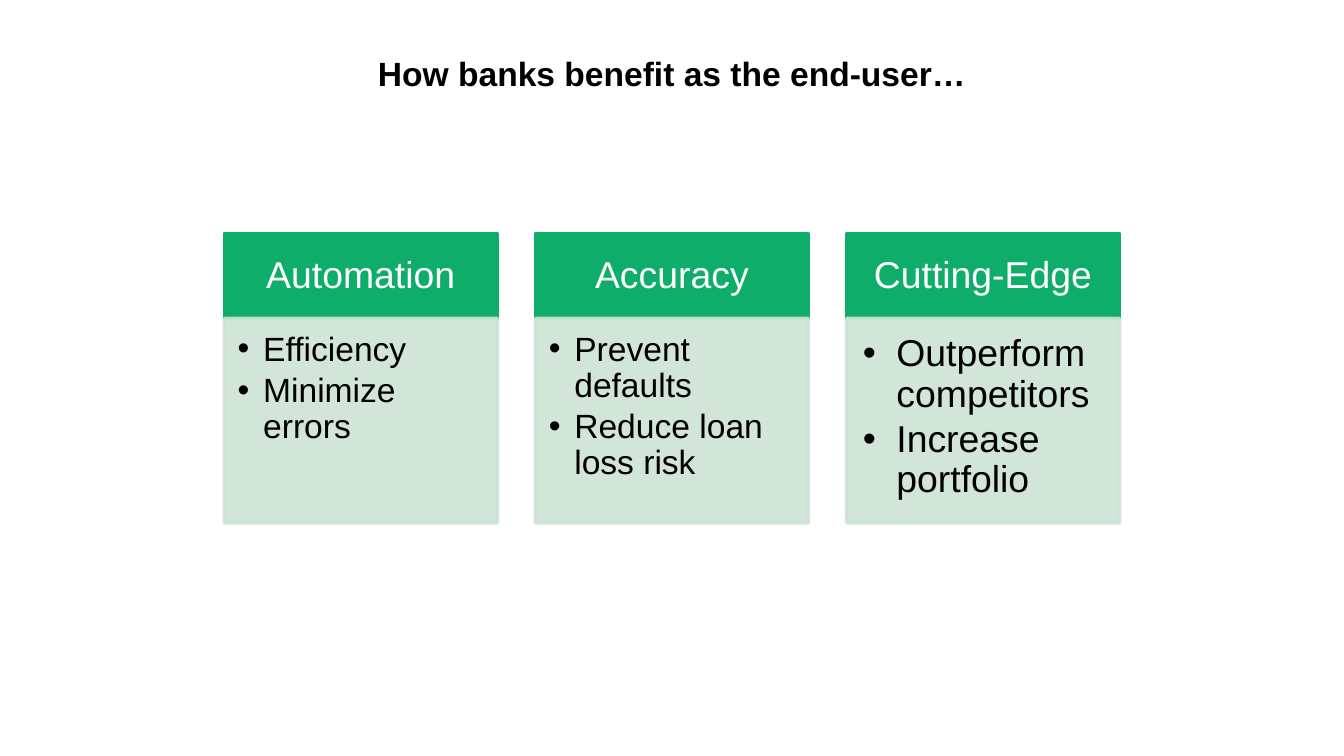
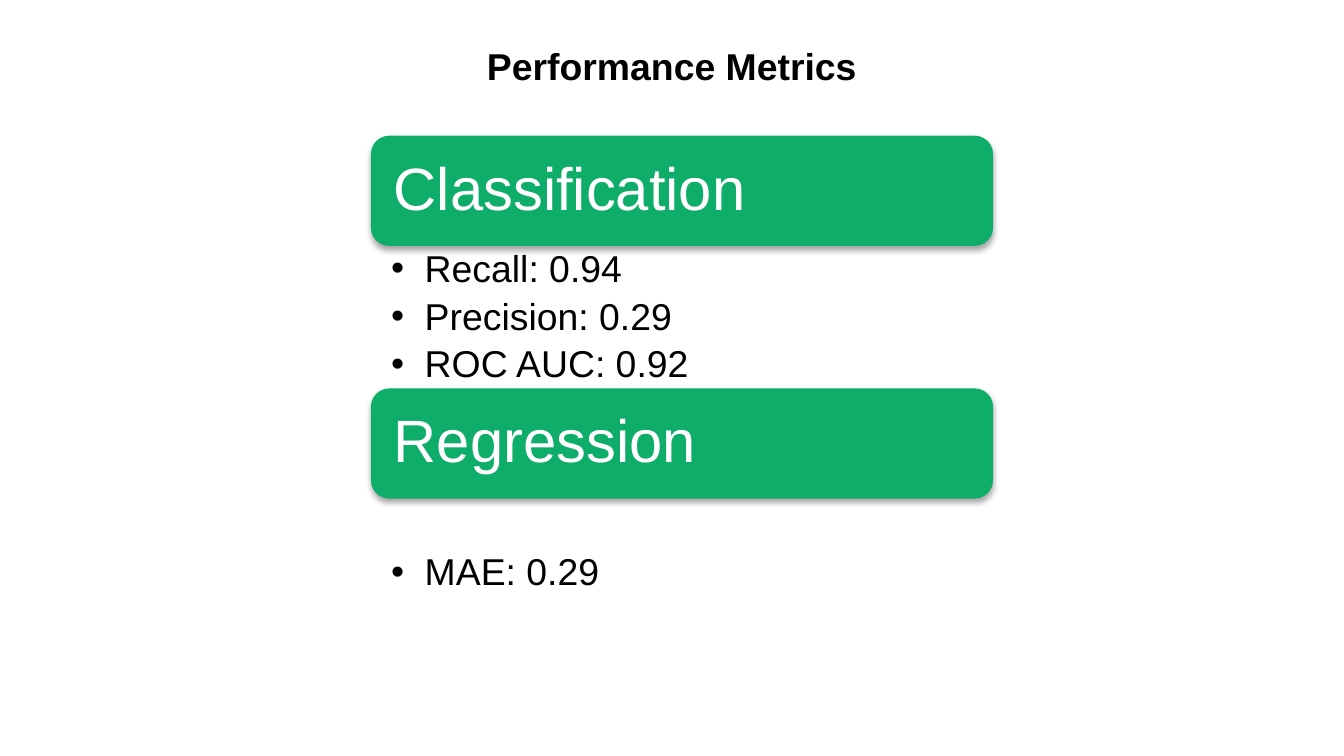
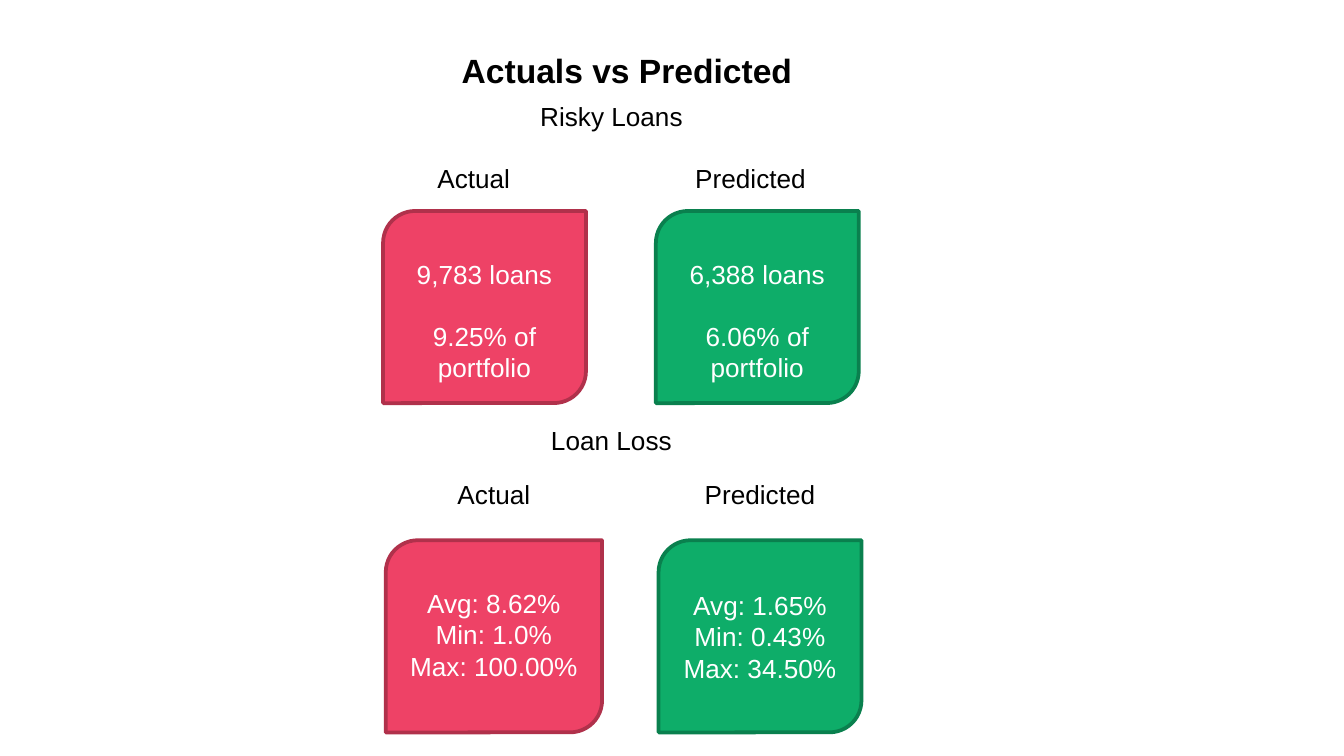
from lxml import etree
from pptx import Presentation
from pptx import util as u
from pptx.dml.color import RGBColor
from pptx.enum import shapes, text
from pptx.oxml.ns import qn

GREEN, DARK_GREEN, PALE_GREEN = "0EAD69", "0A804E", "CCE3D4"
RED, DARK_RED = "EE4266", "B0314B"
BLACK, WHITE = "000000", "FFFFFF"
LEFT, CENTER = text.PP_ALIGN.LEFT, text.PP_ALIGN.CENTER
TOP, MIDDLE = text.MSO_ANCHOR.TOP, text.MSO_ANCHOR.MIDDLE
FORM = shapes.MSO_SHAPE
rgb = RGBColor.from_string


def add_shape(slide, form, box, fill, line=None):
    shape = slide.shapes.add_shape(form, *map(u.Inches, box))
    shape.shadow.inherit = False
    shape.fill.solid()
    shape.fill.fore_color.rgb = rgb(fill)
    if line:
        shape.line.color.rgb = rgb(line)
        shape.line.width = u.Pt(2)
    else:
        shape.line.fill.background()
    return shape


def write(shape, lines, size, color=BLACK, bold=False, align=CENTER, anchor=TOP,
          insets=(0.1, 0.05, 0.1, 0.05), spacing=1.0, after=0, indent=0):
    frame = shape.text_frame
    frame.word_wrap = True
    frame.auto_size = text.MSO_AUTO_SIZE.NONE
    frame.vertical_anchor = anchor
    (frame.margin_left, frame.margin_top,
     frame.margin_right, frame.margin_bottom) = map(u.Inches, insets)
    frame.text = "\n".join(lines)
    for paragraph in frame.paragraphs:
        if indent:
            paragraph.level = 1
            properties = paragraph._p.get_or_add_pPr()
            properties.set("marL", str(u.Inches(indent)))
            properties.set("indent", str(-u.Inches(indent)))
            etree.SubElement(properties, qn("a:buFont"), typeface="Arial")
            etree.SubElement(properties, qn("a:buChar"), char="•")
        paragraph.alignment = align
        paragraph.line_spacing = spacing
        paragraph.space_before = u.Pt(0)
        paragraph.space_after = u.Pt(after)
        paragraph.font.name = "Arial"
        paragraph.font.size = u.Pt(size)
        paragraph.font.bold = bold
        paragraph.font.color.rgb = rgb(color)


presentation = Presentation()
presentation.slide_width = u.Inches(10)
presentation.slide_height = u.Inches(10) * 9 // 16

TITLE_ONLY, TWO_CONTENT = 5, 3
slides = []
for layout, title, size, box in [
    (TITLE_ONLY, "How banks benefit as the end-user…", 18, (1.39, 0.34, 7.22, 0.4)),
    (TWO_CONTENT, "Performance Metrics", 20, (2.83, 0.27, 4.34, 0.44)),
    (TITLE_ONLY, "Actuals vs Predicted", 18, (2.71, 0.32, 3.91, 0.4)),
]:
    slide = presentation.slides.add_slide(presentation.slide_layouts[layout])
    heading = slide.shapes.title
    heading.left, heading.top, heading.width, heading.height = map(u.Inches, box)
    write(heading, [title], size, bold=True)
    slides.append(slide)
benefits, metrics, comparison = slides

cards = [
    ("Automation", ["Efficiency", "Minimize errors"], 18, 0.19, (0.1, 0.1, 0.14, 0.16)),
    ("Accuracy", ["Prevent defaults", "Reduce loan loss risk"], 18, 0.19, (0.1, 0.1, 0.14, 0.16)),
    ("Cutting-Edge", ["Outperform competitors", "Increase portfolio"], 20, 0.25,
     (0.12, 0.12, 0.16, 0.17)),
]
for index, (name, points, size, indent, insets) in enumerate(cards):
    left = 1.67 + index * 4.63 / 2
    header = add_shape(benefits, FORM.RECTANGLE, (left, 1.74, 2.03, 0.63), GREEN, GREEN)
    write(header, [name], 20, WHITE, anchor=MIDDLE, insets=(0.16, 0.09, 0.16, 0.09), spacing=0.9)
    panel = add_shape(benefits, FORM.RECTANGLE, (left, 2.37, 2.03, 1.52), PALE_GREEN, PALE_GREEN)
    for tint in panel.element.spPr.iter(qn("a:srgbClr")):
        etree.SubElement(tint, qn("a:alpha"), val="90000")
    write(panel, points, size, align=LEFT, insets=insets, spacing=0.9, after=2.7, indent=indent)

groups = [
    ("Classification", ["Recall: 0.94", "Precision: 0.29", "ROC AUC: 0.92"], 1.01, 1.06, 0.03),
    ("Regression", ["MAE: 0.29"], 2.89, 0.72, 0.41),
]
bodies = list(metrics.placeholders)[1:]
for body, (name, scores, top, height, inset) in zip(bodies, groups):
    banner = add_shape(metrics, FORM.ROUNDED_RECTANGLE, (2.76, top, 4.63, 0.82), GREEN)
    effects = banner.element.spPr.find(qn("a:effectLst"))
    shadow = etree.SubElement(effects, qn("a:outerShdw"), blurRad=str(u.Pt(3.1)),
                              dist=str(u.Pt(1.8)), dir="5400000", rotWithShape="0")
    shade = etree.SubElement(shadow, qn("a:srgbClr"), val=BLACK)
    etree.SubElement(shade, qn("a:alpha"), val="35000")
    write(banner, [name], 32, WHITE, align=LEFT, anchor=MIDDLE, insets=(0.13,) * 4, spacing=0.9)
    body.left, body.top, body.width, body.height = map(u.Inches, (2.76, top + 0.82, 4.63, height))
    write(body, scores, 20, align=LEFT, insets=(0.15, inset, 0.16, 0.03),
          spacing=0.9, after=4, indent=0.25)

labels = [
    ("Risky Loans", 3.86, 0.7, 1.38),
    ("Actual", 3.12, 1.16, 0.81),
    ("Predicted", 5.05, 1.16, 1.07),
    ("Loan Loss", 3.93, 3.11, 1.24),
    ("Actual", 3.27, 3.51, 0.81),
    ("Predicted", 5.12, 3.51, 1.07),
]
for label, left, top, width in labels:
    caption = comparison.shapes.add_textbox(*map(u.Inches, (left, top, width, 0.34)))
    write(caption, [label], 14)

LOWERED = (0.1, 0.28, 0.1, 0.05)
CENTERED = (0.1, 0.05, 0.1, 0.05)
results = [
    (["9,783 loans", "9.25% of portfolio"], 2.85, 1.57, 1.51, RED, DARK_RED, TOP, LOWERED, 16.5),
    (["6,388 loans", "6.06% of portfolio"], 4.88, 1.57, 1.51, GREEN, DARK_GREEN,
     TOP, LOWERED, 16.5),
    (["Avg: 8.62%", "Min: 1.0%", "Max: 100.00%"], 2.87, 4.02, 1.61, RED, DARK_RED,
     TOP, LOWERED, 0),
    (["Avg: 1.65%", "Min: 0.43%", "Max: 34.50%"], 4.9, 4.02, 1.51, GREEN, DARK_GREEN,
     MIDDLE, CENTERED, 0),
]
for figures, left, top, width, fill, line, anchor, insets, after in results:
    tile = add_shape(comparison, FORM.ROUND_2_DIAG_RECTANGLE, (left, top, width, 1.43), fill, line)
    write(tile, figures, 14, WHITE, anchor=anchor, insets=insets, after=after)

presentation.save("out.pptx")
